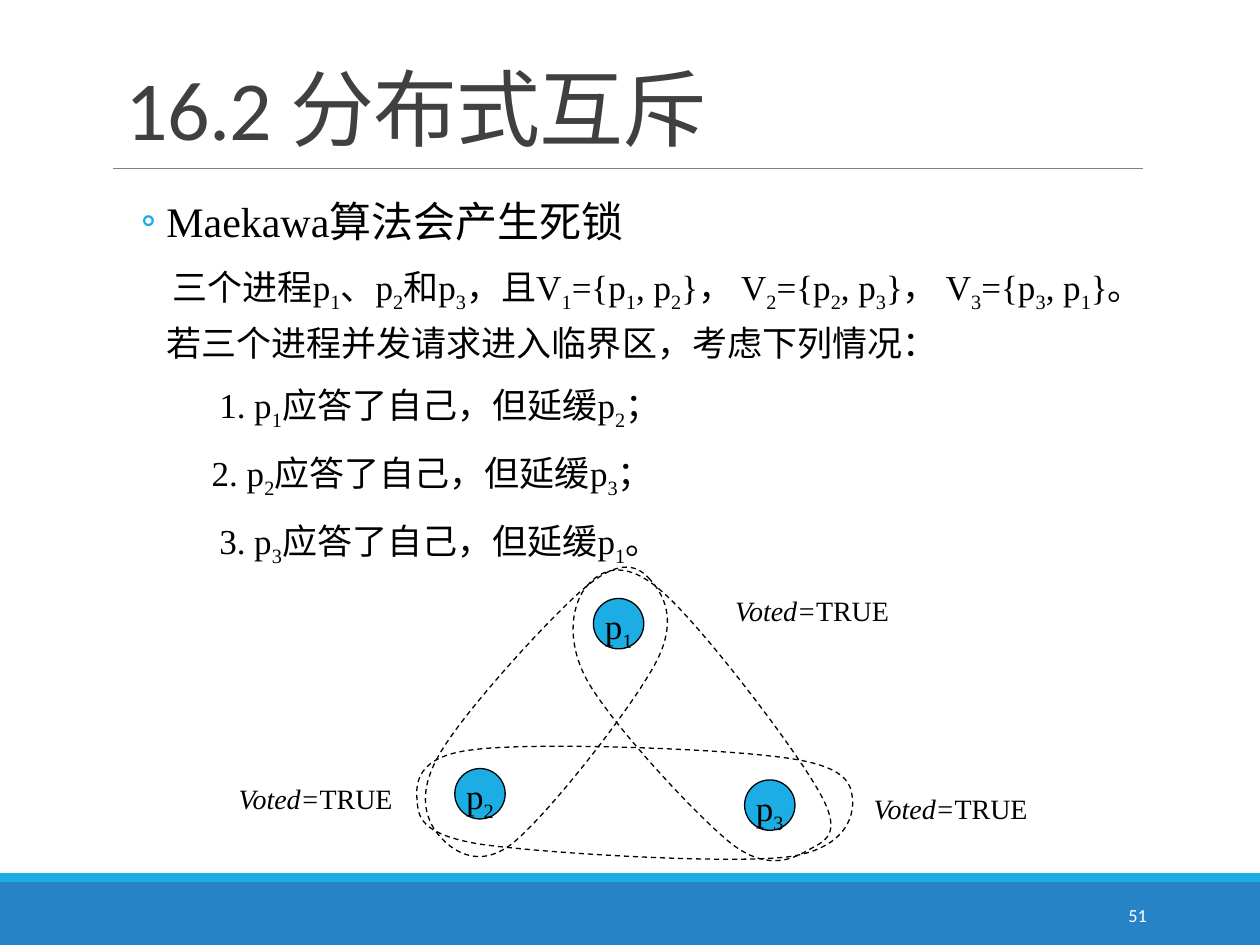
import lxml.etree
import pptx
import pptx.dml.color
import pptx.enum.dml
import pptx.enum.shapes
import pptx.enum.text
import pptx.oxml.ns
import pptx.util

Inches = pptx.util.Inches
Pt = pptx.util.Pt
qn = pptx.oxml.ns.qn
SHAPE = pptx.enum.shapes.MSO_SHAPE
ALIGN = pptx.enum.text.PP_ALIGN
ANCHOR = pptx.enum.text.MSO_ANCHOR
SERIF = "Times New Roman"
SANS = "Calibri"
BLACK, CYAN, BLUE = "000000", "1CADE4", "2683C6"

SITUATION = (
    "三个进程p_1、p_2和p_3，且V_1={p_1, p_2}， V_2={p_2, p_3}， V_3={p_3, p_1}"
    "。若三个进程并发请求进入临界区，考虑下列情况："
)
BODY = [
    ("Maekawa算法会产生死锁", 24, -0.2),
    (SITUATION, 20, 0.05),
    ("1. p_1应答了自己，但延缓p_2；", 20, 0.42),
    ("2. p_2应答了自己，但延缓p_3；", 20, 0.36),
    ("3. p_3应答了自己，但延缓p_1。", 20, 0.42),
]
PROCESSES = [("p_1", 4.71, 4.75), ("p_2", 3.61, 6.1), ("p_3", 5.91, 6.19)]
VOTES = [(1.72, 6.15), (6.76, 6.23), (5.66, 4.66)]
VOTING_SETS = [
    [(4.66, 4.65), (4.76, 4.53), (4.95, 4.42), (5.26, 4.7),
     (5.57, 4.97), (6.32, 5.95), (6.51, 6.3),
     (6.7, 6.64), (6.53, 6.68), (6.41, 6.75),
     (6.3, 6.81), (6.1, 6.92), (5.81, 6.7),
     (5.52, 6.47), (4.85, 5.74), (4.66, 5.4),
     (4.47, 5.05), (4.56, 4.76), (4.66, 4.65)],
    [(5.16, 4.6), (5.07, 4.5), (4.94, 4.42), (4.66, 4.65),
     (4.39, 4.87), (3.71, 5.62), (3.51, 5.95),
     (3.31, 6.27), (3.37, 6.47), (3.46, 6.6),
     (3.55, 6.72), (3.77, 6.92), (4.06, 6.7),
     (4.35, 6.47), (5.03, 5.6), (5.21, 5.25),
     (5.39, 4.9), (5.25, 4.7), (5.16, 4.6)],
    [(3.31, 6.35), (3.3, 6.22), (3.3, 6), (3.76, 5.95),
     (4.23, 5.89), (5.61, 5.94), (6.11, 6),
     (6.61, 6.05), (6.74, 6.16), (6.76, 6.3),
     (6.79, 6.43), (6.75, 6.73), (6.26, 6.8),
     (5.77, 6.86), (4.3, 6.77), (3.81, 6.7),
     (3.32, 6.62), (3.32, 6.47), (3.31, 6.35)],
]


def rgb(color):
    """Turn a hex string into a colour."""
    return pptx.dml.color.RGBColor.from_string(color)


def set_line(line, color, width):
    """Give a line its colour and width in points."""
    line.color.rgb = rgb(color)
    line.width = Pt(width)


def set_font(paragraph, name, size, color, italic=None):
    """Set the font that all runs of a paragraph share."""
    font = paragraph.font
    font.name, font.size, font.italic = name, Pt(size), italic
    font.color.rgb = rgb(color)


def add_filled(slide, preset, left, top, width, height, color):
    """Add a preset shape with a plain fill and no outline."""
    shape = slide.shapes.add_shape(
        preset, Inches(left), Inches(top), Inches(width), Inches(height))
    shape.shadow.inherit = False
    shape.fill.solid()
    shape.fill.fore_color.rgb = rgb(color)
    shape.line.fill.background()
    return shape


def add_frame(slide, left, top, width, height, anchor=ANCHOR.TOP):
    """Add a wrapping text box and return its text frame."""
    box = slide.shapes.add_textbox(
        Inches(left), Inches(top), Inches(width), Inches(height))
    frame = box.text_frame
    frame.word_wrap = True
    frame.vertical_anchor = anchor
    return frame


def add_subscripted(paragraph, text):
    """Write text in which the digit after each underscore is a subscript."""
    first, *others = text.split("_")
    paragraph.add_run().text = first
    for part in others:
        subscript = paragraph.add_run()
        subscript.text = part[0]
        subscript.font._element.set("baseline", "-25000")
        if part[1:]:
            paragraph.add_run().text = part[1:]


def add_bullet(paragraph, character, color):
    """Give a paragraph a coloured bullet."""
    properties = paragraph._p.get_or_add_pPr()
    bullet_color = lxml.etree.SubElement(properties, qn("a:buClr"))
    lxml.etree.SubElement(bullet_color, qn("a:srgbClr")).set("val", color)
    lxml.etree.SubElement(properties, qn("a:buFont")).set("typeface", SANS)
    lxml.etree.SubElement(properties, qn("a:buChar")).set("char", character)


def add_title(slide):
    """Add the heading and the rule under it."""
    heading = add_frame(slide, 0.9, 0.31, 8.25, 0.99, ANCHOR.BOTTOM).paragraphs[0]
    heading.line_spacing = 0.85
    set_font(heading, SANS, 48, "404040")
    title = heading.add_run()
    title.text = "16.2 分布式互斥"
    title.font._element.set("spc", "-50")
    rule = slide.shapes.add_connector(
        pptx.enum.shapes.MSO_CONNECTOR.STRAIGHT,
        Inches(0.9), Inches(1.34), Inches(9.07), Inches(1.34))
    set_line(rule.line, "808080", 0.5)
    lxml.etree.SubElement(rule._element.spPr, qn("a:effectLst"))


def add_body(slide):
    """Add the deadlock statement and its three cases."""
    frame = add_frame(slide, 0.9, 1.42, 8.25, 5)
    frame.margin_left = frame.margin_right = 0
    for index, (text, size, indent) in enumerate(BODY):
        paragraph = frame.add_paragraph() if index else frame.paragraphs[0]
        paragraph.line_spacing = 1.2
        paragraph.space_after = Pt(4)
        if index:
            paragraph.space_before = Pt(2)
        properties = paragraph._p.get_or_add_pPr()
        properties.set("marL", str(Inches(0.42)))
        properties.set("indent", str(Inches(indent)))
        if not index:
            add_bullet(paragraph, "◦", CYAN)
        set_font(paragraph, SERIF, size, BLACK)
        add_subscripted(paragraph, text)


def bend_segments(outline):
    """Turn every three straight segments into one cubic Bezier curve."""
    segments = list(outline._element.iter(qn("a:lnTo")))
    for start in range(0, len(segments), 3):
        curve = lxml.etree.Element(qn("a:cubicBezTo"))
        segments[start].addprevious(curve)
        for segment in segments[start:start + 3]:
            curve.append(segment[0])
            segment.getparent().remove(segment)


def add_voting_set(slide, knots):
    """Draw the dashed outline around one voting set."""
    start, *rest = [(Inches(x), Inches(y)) for x, y in knots]
    builder = slide.shapes.build_freeform(*start)
    builder.add_line_segments(rest, close=True)
    outline = builder.convert_to_shape()
    bend_segments(outline)
    outline.shadow.inherit = False
    outline.fill.background()
    set_line(outline.line, BLACK, 0.75)
    outline.line.dash_style = pptx.enum.dml.MSO_LINE.DASH


def add_process(slide, name, left, top):
    """Add a process circle and its name."""
    circle = add_filled(slide, SHAPE.OVAL, left, top, 0.4, 0.4, CYAN)
    set_line(circle.line, BLACK, 0.75)
    frame = add_frame(slide, left - 0.05, top + 0.05, 0.5, 0.38)
    frame.margin_top = 0
    label = frame.paragraphs[0]
    label.alignment = ALIGN.CENTER
    set_font(label, SERIF, 20, BLACK)
    add_subscripted(label, name)


def add_vote(slide, left, top):
    """Add the voting state of a process."""
    state = add_frame(slide, left, top, 1.57, 0.37).paragraphs[0]
    state.alignment = ALIGN.CENTER
    set_font(state, SERIF, 16, BLACK, italic=True)
    state.add_run().text = "Voted="
    value = state.add_run()
    value.text = "TRUE"
    value.font.italic = False


def add_page_number(slide):
    """Add the slide number in the footer."""
    number = add_frame(slide, 8.12, 7.06, 1.08, 0.4, ANCHOR.MIDDLE).paragraphs[0]
    number.alignment = ALIGN.RIGHT
    set_font(number, SANS, 10.5, "FFFFFF")
    number.add_run().text = "51"


def main():
    """Build the slide and save it."""
    deck = pptx.Presentation()
    deck.slide_width, deck.slide_height = Inches(10), Inches(7.5)
    slide = deck.slides.add_slide(deck.slide_layouts[6])
    add_filled(slide, SHAPE.RECTANGLE, 0, 7, 10, 0.5, BLUE)
    add_filled(slide, SHAPE.RECTANGLE, 0, 6.93, 10, 0.07, CYAN)
    add_title(slide)
    add_body(slide)
    for knots in VOTING_SETS:
        add_voting_set(slide, knots)
    for process in PROCESSES:
        add_process(slide, *process)
    for place in VOTES:
        add_vote(slide, *place)
    add_page_number(slide)
    deck.save("out.pptx")


if __name__ == "__main__":
    main()
